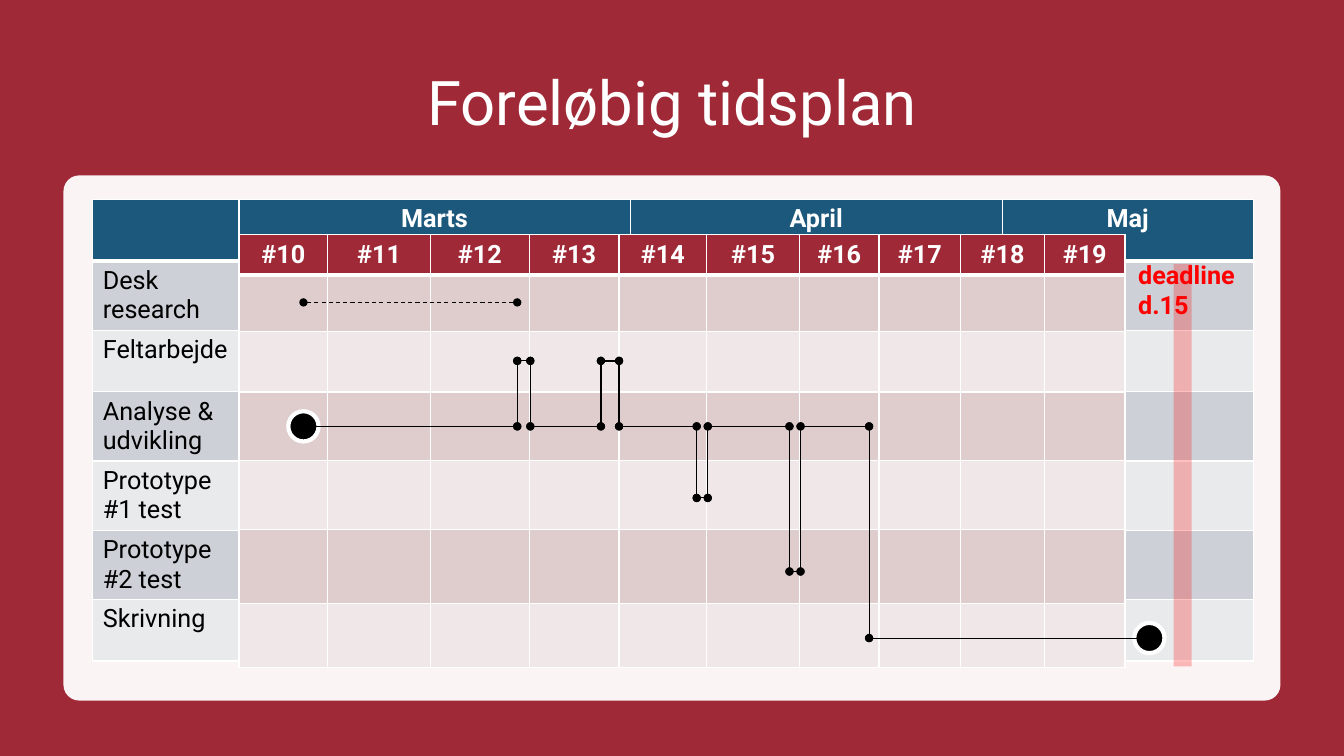
from dataclasses import dataclass
from itertools import pairwise

from lxml.etree import SubElement
from pptx import Presentation
from pptx.dml.color import RGBColor
from pptx.enum.dml import MSO_LINE_DASH_STYLE as Dash
from pptx.enum.shapes import MSO_CONNECTOR as Connector, MSO_SHAPE as Shape
from pptx.enum.text import MSO_ANCHOR as Anchor, MSO_AUTO_SIZE as AutoSize, PP_ALIGN as Align
from pptx.oxml import parse_xml
from pptx.oxml.ns import nsdecls, qn
from pptx.util import Inches, Pt

FONT = "Roboto"
WHITE = RGBColor(0xFF, 0xFF, 0xFF)
BLACK = RGBColor(0x00, 0x00, 0x00)
RED = RGBColor(0xFF, 0x00, 0x00)
CRIMSON = RGBColor(0x9F, 0x29, 0x36)
NAVY = RGBColor(0x1B, 0x58, 0x7C)
GREY_DARK = RGBColor(0xCD, 0xD1, 0xD7)
GREY_LIGHT = RGBColor(0xE8, 0xEA, 0xEC)
PINK_DARK = RGBColor(0xDF, 0xCD, 0xCE)
PINK_LIGHT = RGBColor(0xF0, 0xE8, 0xE8)


@dataclass(frozen=True)
class Grid:
    left: float
    top: float
    columns: tuple[float, ...]
    rows: tuple[float, ...]
    headings: tuple[str, ...]
    labels: tuple[str, ...]
    header_fill: RGBColor
    bands: tuple[RGBColor, RGBColor]


@dataclass(frozen=True)
class Route:
    stops: tuple[tuple[float, float], ...]
    weight: float = 0.75
    dash: Dash | None = None


TASKS = ("Desk research", "Feltarbejde", "Analyse & udvikling",
         "Prototype #1 test", "Prototype #2 test", "Skrivning")
MONTHS = Grid(0.92, 1.98, (1.45, 3.88, 3.69, 2.49), (0.61,) * 7,
              ("", "Marts", "April", "Maj"), TASKS, NAVY, (GREY_DARK, GREY_LIGHT))
WEEKS = Grid(2.37, 2.33, (0.88, 1.02, 0.98, 0.89, 0.87, 0.92, 0.79, 0.81, 0.83, 0.8),
             (0.4, 0.56, 0.6, 0.68, 0.68, 0.74, 0.63),
             tuple(f"#{week}" for week in range(10, 20)), (), CRIMSON, (PINK_DARK, PINK_LIGHT))

# Heights of the task rows that the work moves between
DESK, FIELD, ANALYSIS, TEST_1, TEST_2, WRITING = 3.0, 3.58, 4.23, 4.94, 5.67, 6.33
START, FINISH = (3.01, ANALYSIS), (11.4, WRITING)
ROUTES = (
    Route((START, (5.13, ANALYSIS), (5.13, FIELD), (5.26, FIELD),
           (5.26, ANALYSIS), (5.96, ANALYSIS))),
    Route(((6.91, ANALYSIS), (6.91, TEST_1), (7.02, TEST_1), (7.02, ANALYSIS),
           (7.83, ANALYSIS), (7.83, TEST_2), (7.94, TEST_2), (7.94, ANALYSIS),
           (8.62, ANALYSIS), (8.62, WRITING), FINISH)),
    Route(((5.96, ANALYSIS), (5.96, FIELD), (6.14, FIELD), (6.14, ANALYSIS),
           (6.91, ANALYSIS)), weight=1),
    Route(((3.01, DESK), (5.13, DESK)), dash=Dash.DASH),
)


def style_paragraph(paragraph, size: float, color: RGBColor, bold: bool = False,
                    align: Align | None = None) -> None:
    font = paragraph.font
    font.name, font.size, font.bold = FONT, Pt(size), bold
    font.color.rgb = color
    paragraph.alignment = align


def add_block(shapes, kind: Shape, left: float, top: float, width: float, height: float,
              fill: RGBColor, opacity: int = 100):
    """Add a borderless filled shape; opacity is a percentage."""
    block = shapes.add_shape(kind, Inches(left), Inches(top), Inches(width), Inches(height))
    block.shadow.inherit = False
    block.fill.solid()
    block.fill.fore_color.rgb = fill
    block.line.fill.background()
    if opacity < 100:
        color = block.element.spPr.find(qn("a:solidFill"))[0]
        SubElement(color, qn("a:alpha"), val=str(opacity * 1000))
    return block


def border_header(cell) -> None:
    """Give a header cell thin white sides and a thick white base."""
    properties = cell._tc.get_or_add_tcPr()
    for position, (side, weight) in enumerate((("L", 1), ("R", 1), ("T", 1), ("B", 3))):
        properties.insert(position, parse_xml(
            f'<a:ln{side} {nsdecls("a")} w="{Pt(weight)}"><a:solidFill>'
            f'<a:srgbClr val="{WHITE}"/></a:solidFill></a:ln{side}>'))


def add_grid(shapes, grid: Grid) -> None:
    table = shapes.add_table(
        len(grid.rows), len(grid.columns), Inches(grid.left), Inches(grid.top),
        Inches(sum(grid.columns)), Inches(sum(grid.rows))).table
    for column, width in zip(table.columns, grid.columns):
        column.width = Inches(width)
    for index, (row, height) in enumerate(zip(table.rows, grid.rows)):
        row.height = Inches(height)
        for cell in row.cells:
            cell.fill.solid()
            cell.fill.fore_color.rgb = grid.bands[(index - 1) % 2] if index else grid.header_fill
    for cell, heading in zip(table.rows[0].cells, grid.headings):
        cell.text = heading
        style_paragraph(cell.text_frame.paragraphs[0], 18, WHITE, True, Align.CENTER)
        border_header(cell)
    for index, label in enumerate(grid.labels, start=1):
        cell = table.cell(index, 0)
        cell.text = label
        style_paragraph(cell.text_frame.paragraphs[0], 18, BLACK)


def add_milestone(shapes, center: tuple[float, float]) -> None:
    size = 0.3
    x, y = center
    milestone = add_block(shapes, Shape.OVAL, x - size / 2, y - size / 2, size, size, BLACK)
    milestone.line.color.rgb = WHITE
    milestone.line.width = Pt(3)


def add_route(shapes, route: Route) -> None:
    """Join the stops with straight lines that have a dot at each end."""
    for (x1, y1), (x2, y2) in pairwise(route.stops):
        leg = shapes.add_connector(Connector.STRAIGHT, Inches(x1), Inches(y1),
                                   Inches(x2), Inches(y2))
        leg.line.color.rgb = BLACK
        leg.line.width = Pt(route.weight)
        if route.dash is not None:
            leg.line.dash_style = route.dash
        properties = leg.element.spPr
        for end in ("a:headEnd", "a:tailEnd"):
            SubElement(properties.find(qn("a:ln")), qn(end), type="oval")
        SubElement(properties, qn("a:effectLst"))


def main() -> None:
    deck = Presentation()
    deck.slide_width, deck.slide_height = Inches(13.33), Inches(7.5)
    slide = deck.slides.add_slide(deck.slide_layouts[5])
    shapes = slide.shapes

    backdrop = add_block(shapes, Shape.RECTANGLE, 0, 0, 13.33, 7.5, CRIMSON)
    title = shapes.title
    backdrop.element.addnext(title.element)
    title.left, title.top = Inches(0.92), Inches(0.5)
    title.width, title.height = Inches(11.5), Inches(1.1)
    title.text_frame.text = "Foreløbig tidsplan"
    title.text_frame.vertical_anchor = Anchor.MIDDLE
    heading = title.text_frame.paragraphs[0]
    style_paragraph(heading, 44, WHITE, align=Align.CENTER)
    heading.line_spacing = 0.9

    panel = add_block(shapes, Shape.ROUNDED_RECTANGLE, 0.63, 1.74, 12.07, 5.21, WHITE, 95)
    panel.adjustments[0] = 0.03
    add_grid(shapes, MONTHS)
    add_block(shapes, Shape.RECTANGLE, 11.64, 2.62, 0.18, 3.99, RED, 25)
    add_grid(shapes, WEEKS)

    deadline = shapes.add_textbox(Inches(11.19), Inches(2.52), Inches(1.28), Inches(0.71))
    deadline.text_frame.word_wrap = True
    deadline.text_frame.auto_size = AutoSize.SHAPE_TO_FIT_TEXT
    deadline_note = deadline.text_frame.paragraphs[0]
    deadline_note.text = "deadline\vd.15"
    style_paragraph(deadline_note, 18, RED, bold=True)

    for center in (START, FINISH):
        add_milestone(shapes, center)
    workflow = shapes.add_group_shape()
    for route in ROUTES:
        add_route(workflow.shapes, route)

    deck.save("out.pptx")


if __name__ == "__main__":
    main()
